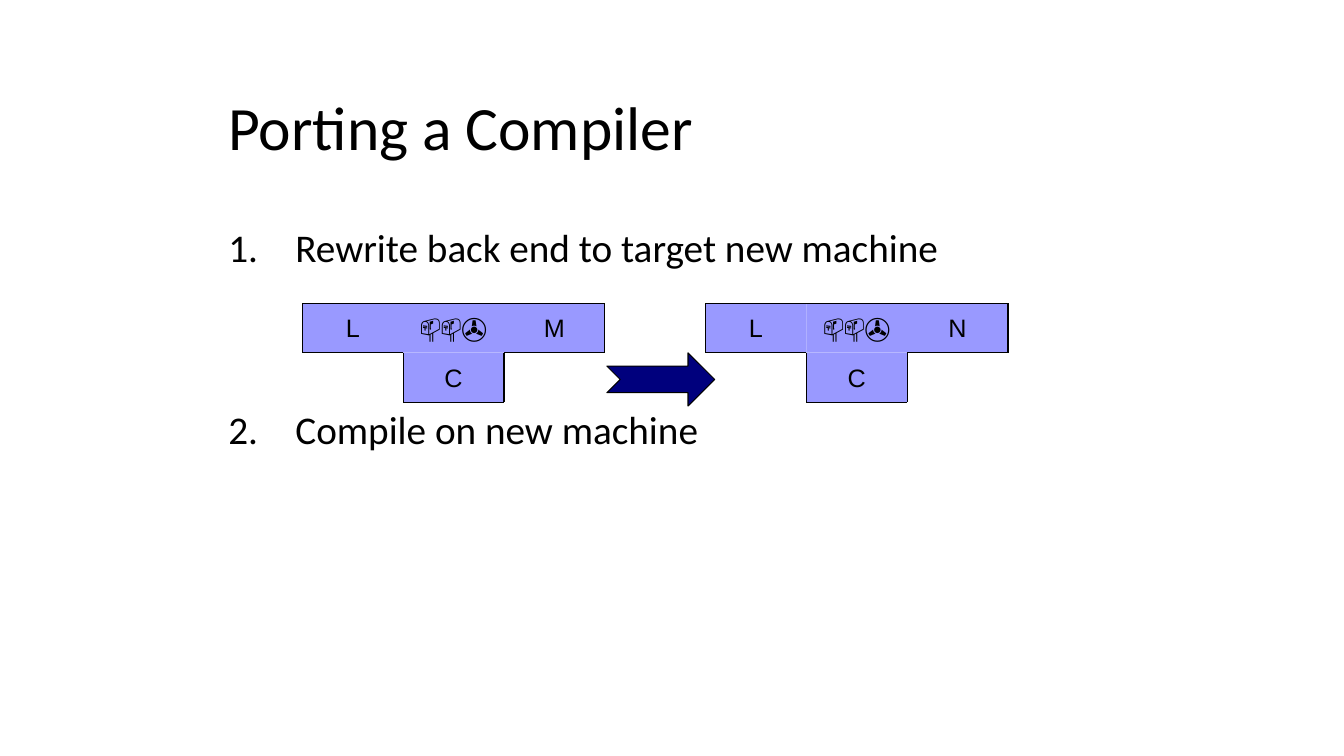
from itertools import pairwise

from lxml.etree import SubElement
from pptx import Presentation
from pptx.dml.color import RGBColor
from pptx.enum.shapes import MSO_CONNECTOR as Connector, MSO_SHAPE as Shape
from pptx.enum.text import MSO_ANCHOR as Anchor, PP_ALIGN as Align
from pptx.oxml.ns import qn
from pptx.util import Pt

BLACK = RGBColor(0x00, 0x00, 0x00)
LILAC = RGBColor(0x99, 0x99, 0xFF)
NAVY = RGBColor(0x00, 0x00, 0x7D)

CELL_WIDTH = 72
CELL_HEIGHT = 35.5
DIAGRAM_TOP = 216.5
T_CORNERS = [(0, 0), (3, 0), (3, 1), (2, 1), (2, 2), (1, 2), (1, 1), (0, 1), (0, 0)]


def style_text(para, size, font_name):
    for span in para.runs:
        span.font.size = Pt(size)
        span.font.name = font_name
        span.font.color.rgb = BLACK


def add_text_box(page, left, top, width, height, anchor):
    box = page.shapes.add_textbox(Pt(left), Pt(top), Pt(width), Pt(height))
    box.text_frame.word_wrap = True
    box.text_frame.vertical_anchor = anchor
    return box.text_frame


def add_title(page, text):
    frame = add_text_box(page, 156, 60, 648, 60, Anchor.MIDDLE)
    frame.text = text
    style_text(frame.paragraphs[0], 44, "Calibri")


def add_numbered_steps(page, steps, gap):
    frame = add_text_box(page, 156, 156, 648, 173.5, Anchor.TOP)
    frame.text = "\n".join(steps)
    for index, para in enumerate(frame.paragraphs):
        properties = para._p.get_or_add_pPr()
        properties.set("marL", str(Pt(48)))
        properties.set("indent", str(-Pt(48)))
        if index:
            para.space_before = Pt(gap)
        SubElement(properties, qn("a:buFont"), typeface="+mj-lt")
        SubElement(properties, qn("a:buAutoNum"), type="arabicPeriod")
        style_text(para, 28, "Calibri")


def add_cell(group, left, top, text, font_name):
    cell = group.shapes.add_shape(
        Shape.RECTANGLE, Pt(left), Pt(top), Pt(CELL_WIDTH), Pt(CELL_HEIGHT)
    )
    cell.shadow.inherit = False
    cell.fill.solid()
    cell.fill.fore_color.rgb = LILAC
    cell.line.fill.background()
    frame = cell.text_frame
    frame.text = text
    frame.word_wrap = False
    frame.vertical_anchor = Anchor.MIDDLE
    frame.paragraphs[0].alignment = Align.CENTER
    style_text(frame.paragraphs[0], 18, font_name)


def add_edge(group, start, end):
    edge = group.shapes.add_connector(
        Connector.STRAIGHT, *(Pt(value) for value in (*start, *end))
    )
    edge.line.color.rgb = BLACK
    edge.line.width = Pt(0.75)
    SubElement(edge._element.spPr, qn("a:effectLst"))


def add_t_diagram(page, left, source, target, host):
    def place(column, row):
        return left + column * CELL_WIDTH, DIAGRAM_TOP + row * CELL_HEIGHT

    group = page.shapes.add_group_shape()
    cells = [
        (0, 0, source, "Arial"),
        (1, 0, "📫📫✇", "Open Sans"),
        (2, 0, target, "Arial"),
        (1, 1, host, "Arial"),
    ]
    for column, row, text, font_name in cells:
        add_cell(group, *place(column, row), text, font_name)
    for start, end in pairwise(T_CORNERS):
        add_edge(group, place(*start), place(*end))


def add_arrow(page, left, top, width, height):
    arrow = page.shapes.add_shape(
        Shape.NOTCHED_RIGHT_ARROW, Pt(left), Pt(top), Pt(width), Pt(height)
    )
    arrow.shadow.inherit = False
    arrow.fill.solid()
    arrow.fill.fore_color.rgb = NAVY
    arrow.line.color.rgb = BLACK
    arrow.line.width = Pt(0.75)


def main():
    deck = Presentation()
    deck.slide_width = Pt(960)
    deck.slide_height = Pt(540)
    page = deck.slides.add_slide(deck.slide_layouts[6])

    add_title(page, "Porting a Compiler")
    add_numbered_steps(
        page,
        ["Rewrite back end to target new machine", "Compile on new machine"],
        gap=96.5,
    )
    add_t_diagram(page, 216, "L", "M", "C")
    add_t_diagram(page, 504, "L", "N", "C")
    add_arrow(page, 433.5, 252, 77, 38)

    deck.save("out.pptx")


if __name__ == "__main__":
    main()
